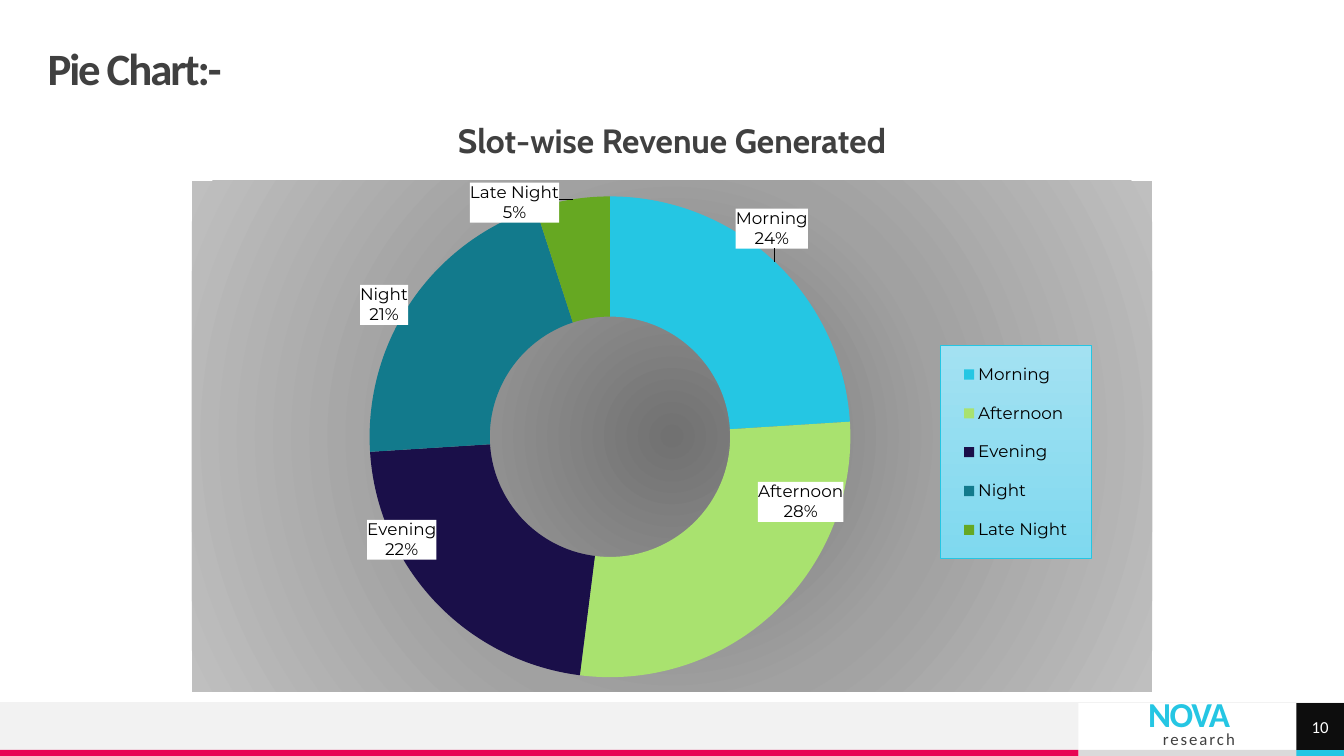
from copy import deepcopy

from lxml import etree
from pptx import Presentation
from pptx.chart.data import CategoryChartData
from pptx.dml.color import RGBColor
from pptx.enum.chart import XL_CHART_TYPE, XL_LEGEND_POSITION
from pptx.enum.shapes import MSO_CONNECTOR, MSO_SHAPE
from pptx.enum.text import MSO_ANCHOR, PP_ALIGN
from pptx.oxml.ns import nsdecls, qn
from pptx.util import Pt

RECT = MSO_SHAPE.RECTANGLE
LINE = MSO_CONNECTOR.STRAIGHT
RING = XL_CHART_TYPE.DOUGHNUT
EAST = XL_LEGEND_POSITION.RIGHT
LEFT, MID, RIGHT = PP_ALIGN.LEFT, PP_ALIGN.CENTER, PP_ALIGN.RIGHT
TOP, CENTER = MSO_ANCHOR.TOP, MSO_ANCHOR.MIDDLE
HEX = {
    "cyan": "25C6E3", "lime": "A9E26F", "navy": "1A0F49", "teal": "127A8C",
    "green": "66A822", "pink": "E80554", "pale": "F2F2F2", "gray": "DADADA",
    "ink": "404040", "dark": "0D0D0D", "white": "FFFFFF", "black": "000000",
}


def write(frame, runs, align, anchor, pads=(0, 0, 0, 0), **form):
    frame.word_wrap = True
    frame.vertical_anchor = anchor
    sides = ("left", "top", "right", "bottom")
    for side, pad in zip(sides, pads):
        setattr(frame, f"margin_{side}", Pt(pad))
    para = frame.paragraphs[0]
    para.alignment = align
    for key, val in form.items():
        setattr(para, key, val)
    for text, face, size, tone, bold, gap in runs:
        if text == "\v":
            para.add_line_break()
            continue
        run = para.add_run()
        run.text = text
        look = {"name": face, "size": Pt(size), "bold": bold}
        for key, val in look.items():
            setattr(run.font, key, val)
        run.font.color.rgb = RGBColor.from_string(HEX[tone])
        if gap:
            run.font._element.set("spc", str(gap))


def part(tag, body):
    return etree.fromstring(f"<c:{tag} {nsdecls('c', 'a')}>{body}</c:{tag}>")


deck = Presentation()
deck.slide_width, deck.slide_height = Pt(960), Pt(540)
slide = deck.slides.add_slide(deck.slide_layouts[6])
shapes = slide.shapes

bars = [
    (770.4, 535.7, 156, 4.3, "gray"),
    (0, 502, 770.4, 33.7, "pale"),
    (0, 535.7, 770.4, 4.3, "pink"),
    (926, 535.7, 34, 4.3, "cyan"),
    (926, 502, 34, 33.7, "dark"),
]
for x, y, wide, high, tone in bars:
    bar = shapes.add_shape(RECT, Pt(x), Pt(y), Pt(wide), Pt(high))
    bar.shadow.inherit = False
    bar.fill.solid()
    bar.fill.fore_color.rgb = RGBColor.from_string(HEX[tone])
    bar.line.fill.background()
write(bar.text_frame, [("10", "Calibri", 12, "white", False, 0)], MID, CENTER)

rule = shapes.add_connector(LINE, Pt(960), Pt(502), Pt(0), Pt(502))
rule.line.color.rgb = RGBColor.from_string(HEX["pale"])
rule.line.width = Pt(0.5)
etree.SubElement(rule._element.spPr, qn("a:effectLst"))

brand = [
    ("NOVA", "Calibri", 25, "cyan", True, -100),
    (" ", "Calibri", 16, "cyan", True, -100),
    ("\v", "", 0, "", False, 0),
    ("research", "Calibri", 12, "ink", False, 140),
]
head = [("Pie Chart:-", "Calibri", 32, "ink", True, -150)]
lead = [("Slot-wise Revenue Generated", "Cabin", 24, "ink", True, 0)]
texts = [
    ((806.4, 505.4, 82.8, 30.2), brand, RIGHT, CENTER, (7.2, 8.6, 7.2, 0),
     {"line_spacing": Pt(10)}),
    ((34, 34, 892, 34), head, LEFT, CENTER, (0, 0, 0, 0),
     {"line_spacing": 0.9}),
    ((177, 89, 606, 40), lead, MID, TOP, (0, 0, 0, 0),
     {"line_spacing": 0.9, "space_before": Pt(10)}),
]
for place, runs, align, anchor, pads, form in texts:
    box = shapes.add_textbox(*map(Pt, place))
    write(box.text_frame, runs, align, anchor, pads, **form)

slots = [
    ("Morning", 24, "cyan", 0.04, -0.15),
    ("Afternoon", 28, "lime", 0.07, -0.13),
    ("Evening", 22, "navy", -0.08, -0.04),
    ("Night", 21, "teal", -0.08, -0.06),
    ("Late Night", 5, "green", -0.07, -0.11),
]
data = CategoryChartData()
data.categories = [slot[0] for slot in slots]
data.add_series("Series 1", [slot[1] for slot in slots])
frame = shapes.add_chart(RING, Pt(137), Pt(129), Pt(686), Pt(365), data)
chart = frame.chart
chart.has_title = False
chart.has_legend = False
chart.has_legend = True
legend = chart.legend
legend.position = EAST
legend.include_in_layout = False
plot = chart.plots[0]
plot.vary_by_categories = True
ring = plot.series[0]
tags = ring.data_labels
tags.show_value = False
tags.show_category_name = True
tags.show_percentage = True

fonts = [(chart.font, "Cabin", 10), (legend.font, "Montserrat", 12),
         (tags.font, "Montserrat", 12)]
for font, face, size in fonts:
    for key, val in {"name": face, "size": Pt(size), "bold": False}.items():
        setattr(font, key, val)
    font.color.rgb = RGBColor.from_string(HEX["black"])

stops = "".join(
    f'<a:gs pos="{at}000"><a:srgbClr val="{tone}"/></a:gs>'
    for at, tone in ((0, "717171"), (50, "A1A1A1"), (100, "BFBFBF")))
back = part("spPr", f'<a:gradFill><a:gsLst>{stops}</a:gsLst><a:path path="circle">'
            '<a:fillToRect l="50000" t="50000" r="50000" b="50000"/></a:path>'
            '</a:gradFill><a:ln><a:noFill/></a:ln>')
panel = part("spPr", '<a:gradFill><a:gsLst><a:gs pos="0"><a:srgbClr val="A3E1F2"/></a:gs>'
             '<a:gs pos="100000"><a:srgbClr val="7FD9EF"/></a:gs></a:gsLst>'
             '<a:lin ang="5400000" scaled="0"/></a:gradFill><a:ln w="6350">'
             f'<a:solidFill><a:srgbClr val="{HEX["cyan"]}"/></a:solidFill></a:ln>')
plate = part("spPr", f'<a:solidFill><a:srgbClr val="{HEX["white"]}"/></a:solidFill>'
             '<a:ln><a:noFill/></a:ln>')
root = chart._chartSpace
key = legend._element
labels = tags._element
for node, fill in ((root, back), (key, panel), (labels, plate)):
    node.find(qn("c:txPr")).addprevious(fill)

area = root.find(".//" + qn("c:plotArea"))
for old in area.findall(qn("c:layout")):
    area.remove(old)
spots = [(area, 0, '<c:layoutTarget val="inner"/>', (0.185, 0.031, 0.501, 0.941)),
         (key, 1, "", (0.779, 0.323, 0.158, 0.417))]
for node, slot, aim, place in spots:
    body = aim + '<c:xMode val="edge"/><c:yMode val="edge"/>'
    body += "".join(f'<c:{side} val="{val}"/>' for side, val in zip("xywh", place))
    node.insert(slot, part("layout", f"<c:manualLayout>{body}</c:manualLayout>"))

shows = "".join(f'<c:show{name} val="{on}"/>' for name, on in (
    ("LegendKey", 0), ("Val", 0), ("CatName", 1), ("SerName", 0),
    ("Percent", 1), ("BubbleSize", 0))) + "<c:separator>\n</c:separator>"
style = labels.find(qn("c:txPr"))
for i, (name, val, tone, x, y) in enumerate(slots):
    fill = ring.points[i].format.fill
    fill.solid()
    fill.fore_color.rgb = RGBColor.from_string(HEX[tone])
    tag = part("dLbl", f'<c:idx val="{i}"/><c:layout><c:manualLayout><c:x val="{x}"/>'
               f'<c:y val="{y}"/></c:manualLayout></c:layout>{shows}')
    tag.insert(2, deepcopy(plate))
    tag.insert(3, deepcopy(style))
    labels.insert(i, tag)

deck.save("out.pptx")
